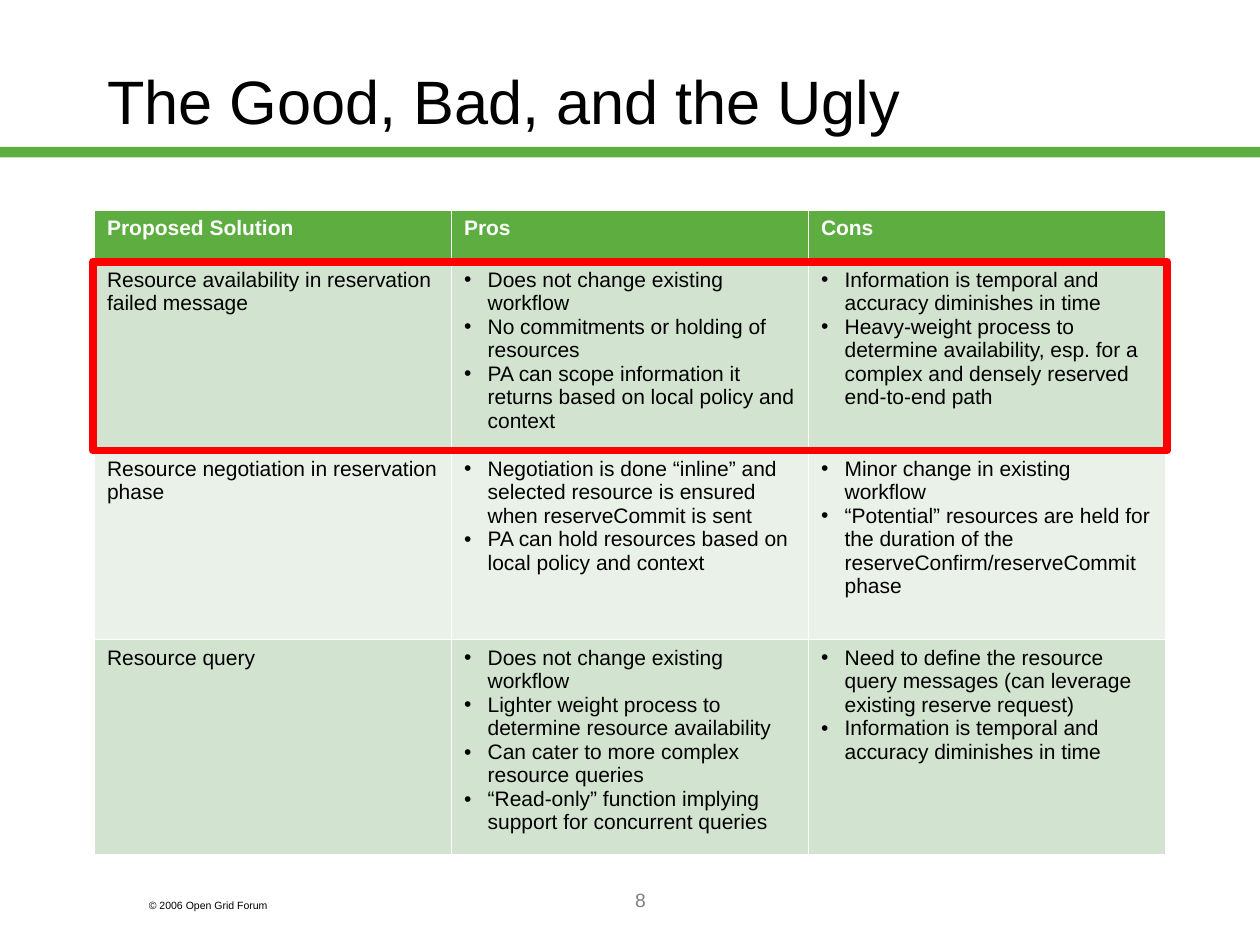
from dataclasses import dataclass

from lxml import etree
from pptx import Presentation
from pptx.dml.color import RGBColor
from pptx.enum.shapes import MSO_SHAPE
from pptx.enum.text import MSO_ANCHOR, MSO_AUTO_SIZE, PP_ALIGN
from pptx.oxml.ns import qn
from pptx.util import Pt

RECT = MSO_SHAPE.RECTANGLE
TOP, MIDDLE = MSO_ANCHOR.TOP, MSO_ANCHOR.MIDDLE
LEFT, CENTER = PP_ALIGN.LEFT, PP_ALIGN.CENTER
FIXED = MSO_AUTO_SIZE.NONE
TITLE_ONLY = 5


@dataclass(frozen=True)
class Theme:
    font: str = "Arial"
    green: str = "5DAD41"
    dark: str = "D2E3CF"
    light: str = "EAF1E8"
    white: str = "FFFFFF"
    black: str = "000000"
    gray: str = "808080"
    red: str = "FF0000"
    title: float = 35
    body: float = 12
    page: float = 11
    note: float = 6
    thin: float = 0.45
    thick: float = 1.47
    frame: float = 4.5


THEME = Theme()
HEADS = ["Proposed Solution", "Pros", "Cons"]
ROWS = [
    (
        "Resource availability in reservation failed message",
        ["Does not change existing workflow",
         "No commitments or holding of resources",
         "PA can scope information it returns based on local policy and context"],
        ["Information is temporal and accuracy diminishes in time",
         "Heavy-weight process to determine availability, esp. for a complex "
         "and densely reserved end-to-end path"],
    ),
    (
        "Resource negotiation in reservation phase",
        ["Negotiation is done “inline” and selected resource is ensured "
         "when reserveCommit is sent",
         "PA can hold resources based on local policy and context"],
        ["Minor change in existing workflow",
         "“Potential” resources are held for the duration of the "
         "reserveConfirm/reserveCommit phase"],
    ),
    (
        "Resource query",
        ["Does not change existing workflow",
         "Lighter weight process to determine resource availability",
         "Can cater to more complex resource queries",
         "“Read-only” function implying support for concurrent queries"],
        ["Need to define the resource query messages "
         "(can leverage existing reserve request)",
         "Information is temporal and accuracy diminishes in time"],
    ),
]
HEIGHTS = [29.2, 108, 108, 122.5]


def color(code):
    return RGBColor.from_string(code)


def points(box):
    return [Pt(side) for side in box]


def add_run(para, text, size, ink, bold=False):
    run = para.add_run()
    run.text = text
    font = run.font
    font.name, font.size, font.bold = THEME.font, Pt(size), bold
    font.color.rgb = color(ink)


def add_bullet(para):
    props = para._p.get_or_add_pPr()
    props.set("marL", str(Pt(13.5)))
    props.set("indent", str(-Pt(13.5)))
    tint = etree.SubElement(props, qn("a:buClr"))
    etree.SubElement(tint, qn("a:srgbClr"), val=THEME.black)
    etree.SubElement(props, qn("a:buFont"), typeface=THEME.font)
    etree.SubElement(props, qn("a:buChar"), char="•")


def add_edges(cell, widths):
    props = cell._tc.get_or_add_tcPr()
    for spot, (side, width) in enumerate(widths.items()):
        line = etree.Element(qn(f"a:ln{side}"), w=str(Pt(width)))
        fill = etree.SubElement(line, qn("a:solidFill"))
        etree.SubElement(fill, qn("a:srgbClr"), val=THEME.white)
        props.insert(spot, line)


def add_title(slide, box):
    title = slide.shapes.title
    title.left, title.top, title.width, title.height = points(box)
    frame = title.text_frame
    frame.auto_size, frame.word_wrap = FIXED, True
    frame.vertical_anchor = MIDDLE
    para = frame.paragraphs[0]
    para.alignment = LEFT
    add_run(para, "The Good, Bad, and the Ugly", THEME.title, THEME.black)


def add_bar(slide, box):
    bar = slide.shapes.add_shape(RECT, *points(box))
    bar.shadow.inherit = False
    bar.fill.solid()
    bar.fill.fore_color.rgb = color(THEME.green)
    bar.line.fill.background()


def add_label(slide, box, text, size, ink, align):
    frame = slide.shapes.add_textbox(*points(box)).text_frame
    frame.word_wrap = True
    para = frame.paragraphs[0]
    para.alignment = align
    add_run(para, text, size, ink)


def fill_cell(cell, content, fill, ink, bold):
    cell.fill.solid()
    cell.fill.fore_color.rgb = color(fill)
    cell.vertical_anchor = TOP
    listed = isinstance(content, list)
    frame = cell.text_frame
    for spot, text in enumerate(content if listed else [content]):
        para = frame.add_paragraph() if spot else frame.paragraphs[0]
        if listed:
            add_bullet(para)
        add_run(para, text, THEME.body, ink, bold)


def add_grid(slide, box):
    data = [HEADS, *ROWS]
    table = slide.shapes.add_table(len(data), len(HEADS), *points(box)).table
    for column in table.columns:
        column.width = Pt(box[2] / len(HEADS))
    for r, (line, height) in enumerate(zip(data, HEIGHTS)):
        table.rows[r].height = Pt(height)
        head = r == 0
        fill = THEME.green if head else THEME.dark if r % 2 else THEME.light
        edges = {
            "L": THEME.thin,
            "R": THEME.thin,
            "T": THEME.thick if r == 1 else THEME.thin,
            "B": THEME.thick if head else THEME.thin,
        }
        for c, content in enumerate(line):
            cell = table.cell(r, c)
            ink = THEME.white if head else THEME.black
            fill_cell(cell, content, fill, ink, head)
            add_edges(cell, edges)


def add_frame(slide, box):
    # Outline around the first solution
    frame = slide.shapes.add_shape(RECT, *points(box))
    frame.shadow.inherit = False
    frame.fill.background()
    frame.line.color.rgb = color(THEME.red)
    frame.line.width = Pt(THEME.frame)
    etree.SubElement(frame.line._get_or_add_ln(), qn("a:round"))


def main():
    deck = Presentation()
    deck.slide_width, deck.slide_height = Pt(720), Pt(540)
    slide = deck.slides.add_slide(deck.slide_layouts[TITLE_ONLY])

    # Heading
    add_bar(slide, (0, 84, 720, 6))
    add_title(slide, (54, 12, 612, 90))

    # Footer
    add_label(slide, (78, 510, 108, 14), "© 2006 Open Grid Forum",
              THEME.note, THEME.black, LEFT)
    add_label(slide, (156, 504, 420, 36), "8", THEME.page, THEME.gray, CENTER)

    # Comparison
    left, top, width = 54, 120.3, 612
    add_grid(slide, (left, top, width, sum(HEIGHTS)))
    add_frame(slide, (left - 1, top + HEIGHTS[0], width + 2, HEIGHTS[1]))

    deck.save("out.pptx")


if __name__ == "__main__":
    main()
